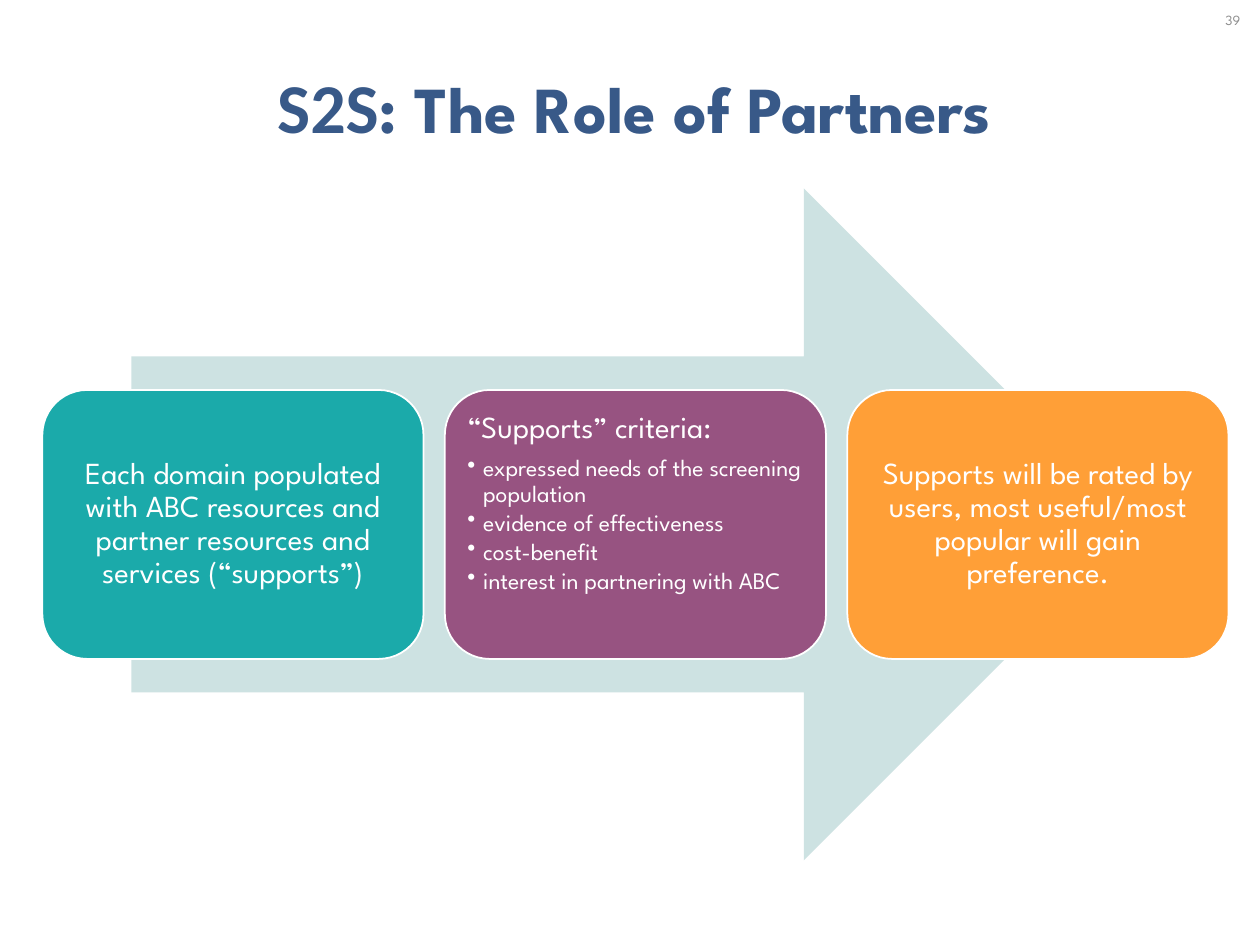
from lxml import etree
from pptx import Presentation
from pptx.dml.color import RGBColor
from pptx.enum.shapes import MSO_SHAPE
from pptx.enum.text import MSO_ANCHOR, MSO_AUTO_SIZE, PP_ALIGN
from pptx.oxml.ns import qn
from pptx.util import Pt

ARROW, ROUND = MSO_SHAPE.RIGHT_ARROW, MSO_SHAPE.ROUNDED_RECTANGLE
TOP, MIDDLE = MSO_ANCHOR.TOP, MSO_ANCHOR.MIDDLE
LEFT, CENTER = PP_ALIGN.LEFT, PP_ALIGN.CENTER
NO_FIT = MSO_AUTO_SIZE.NONE

NAVY, PALE, WHITE, GRAY = "385988", "CDE2E2", "FFFFFF", "8C8C8C"
TEAL, PLUM, ORANGE = "1BAAAA", "975381", "FF9F37"


def color(code):
    return RGBColor.from_string(code)


class Deck:
    font = "League Spartan"
    inset = Pt(10.8)

    def __init__(self, width, height):
        self.prs = Presentation()
        self.prs.slide_width, self.prs.slide_height = Pt(width), Pt(height)
        self.slide = self.prs.slides.add_slide(self.prs.slide_layouts[5])

    def style(self, font, size, code, name=None):
        font.name, font.size = name or self.font, Pt(size)
        font.color.rgb = color(code)

    def title(self, box, runs):
        title = self.slide.shapes.title
        title.left, title.top, title.width, title.height = map(Pt, box)
        frame = title.text_frame
        frame.auto_size, frame.vertical_anchor = NO_FIT, MIDDLE
        para = frame.paragraphs[0]
        para.alignment = CENTER
        for text, size, name in runs:
            run = para.add_run()
            run.text = text
            self.style(run.font, size, NAVY, name)
            run.font.bold = True

    def shape(self, kind, box, fill, line=None):
        shape = self.slide.shapes.add_shape(kind, *map(Pt, box))
        shape.shadow.inherit = False
        shape.fill.solid()
        shape.fill.fore_color.rgb = color(fill)
        if line:
            shape.line.color.rgb = color(line)
            shape.line.width = Pt(2)
        else:
            shape.line.fill.background()
        return shape

    def card(self, box, fill, head, items=()):
        frame = self.shape(ROUND, box, fill, WHITE).text_frame
        frame.word_wrap = True
        frame.margin_left = frame.margin_right = self.inset
        frame.margin_top = frame.margin_bottom = self.inset
        frame.vertical_anchor = TOP if items else MIDDLE
        para = frame.paragraphs[0]
        para.text, para.line_spacing = head, 0.9
        para.alignment = LEFT if items else CENTER
        if items:
            para.space_after = Pt(12)
        self.style(para.font, 35, WHITE)
        for item in items:
            self.bullet(frame.add_paragraph(), item)

    def bullet(self, para, text):
        para.text, para.level = text, 1
        para.alignment, para.line_spacing = LEFT, 0.9
        para.space_after = Pt(4)
        props = para._p.get_or_add_pPr()
        props.set("marL", str(Pt(18)))
        props.set("indent", str(Pt(-18)))
        etree.SubElement(props, qn("a:buChar")).set("char", "•")
        self.style(para.font, 27, WHITE)

    def label(self, box, text, size, code):
        frame = self.slide.shapes.add_textbox(*map(Pt, box)).text_frame
        frame.word_wrap, frame.vertical_anchor = True, MIDDLE
        para = frame.paragraphs[0]
        para.text, para.alignment = text, CENTER
        self.style(para.font, size, code)


def main():
    deck = Deck(1440, 1080)

    # Title and page number
    deck.title((48, 62, 1354, 117),
               [("S2S", 80, "Calibri"), (": The Role of Partners", 75, None)])
    deck.label((1378, 0, 62, 45), "39", 16, GRAY)

    # Arrow behind the cards
    deck.shape(ARROW, (150, 215.4, 1152.6, 768), PALE)

    # Three cards in a row
    cards = [
        (TEAL, "Each domain populated with ABC resources and partner "
               "resources and services (“supports”)", ()),
        (PLUM, "“Supports” criteria:",
         ("expressed needs of the screening population",
          "evidence of effectiveness",
          "cost-benefit",
          "interest in partnering with ABC")),
        (ORANGE, "Supports will be rated by users, most useful/most "
                 "popular will gain preference.", ()),
    ]
    left, width, gap = 48.4, 435.6, 24.4
    for i, (fill, head, items) in enumerate(cards):
        box = (left + i * (width + gap), 445.7, width, 307.4)
        deck.card(box, fill, head, items)

    deck.prs.save("out.pptx")


if __name__ == "__main__":
    main()
